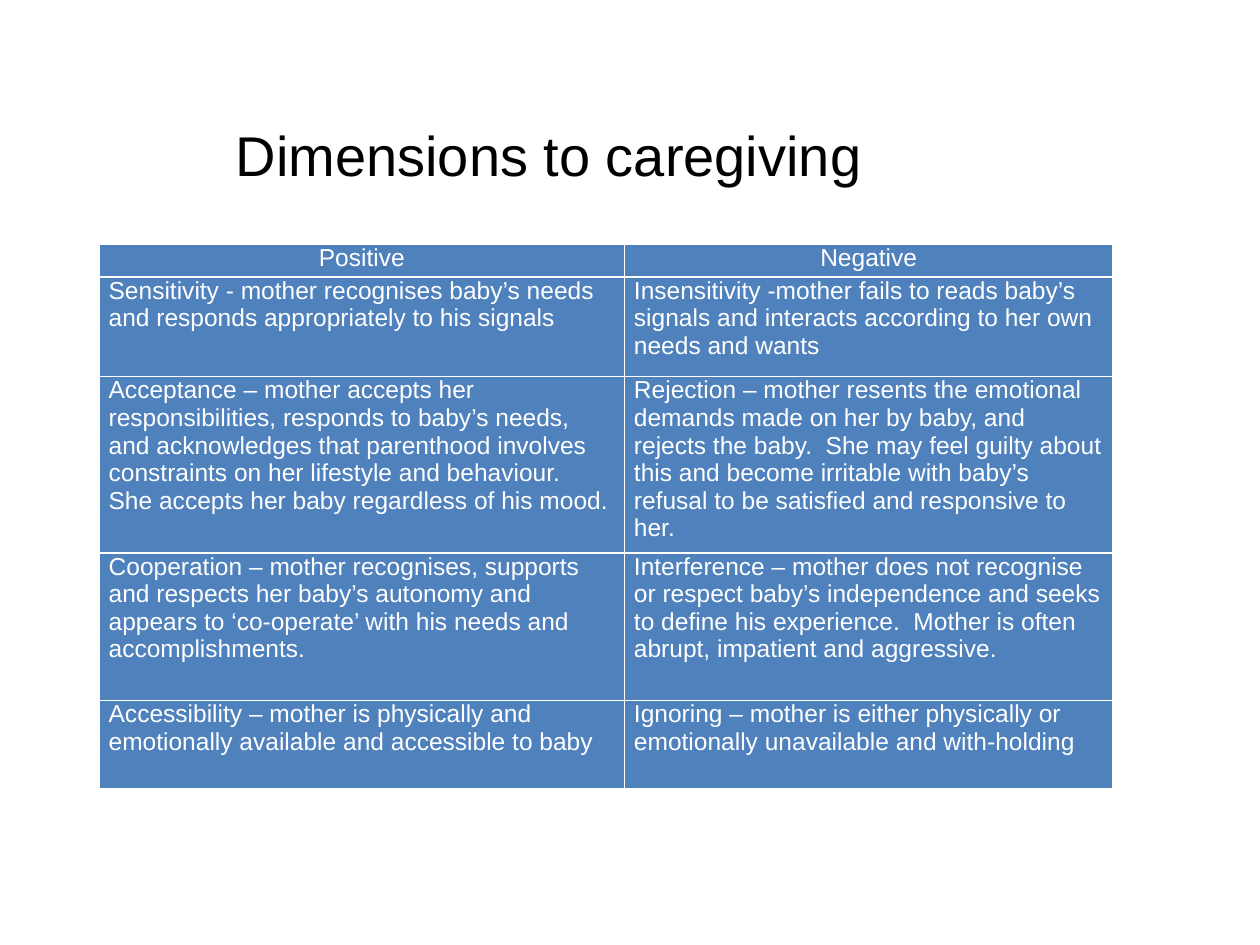
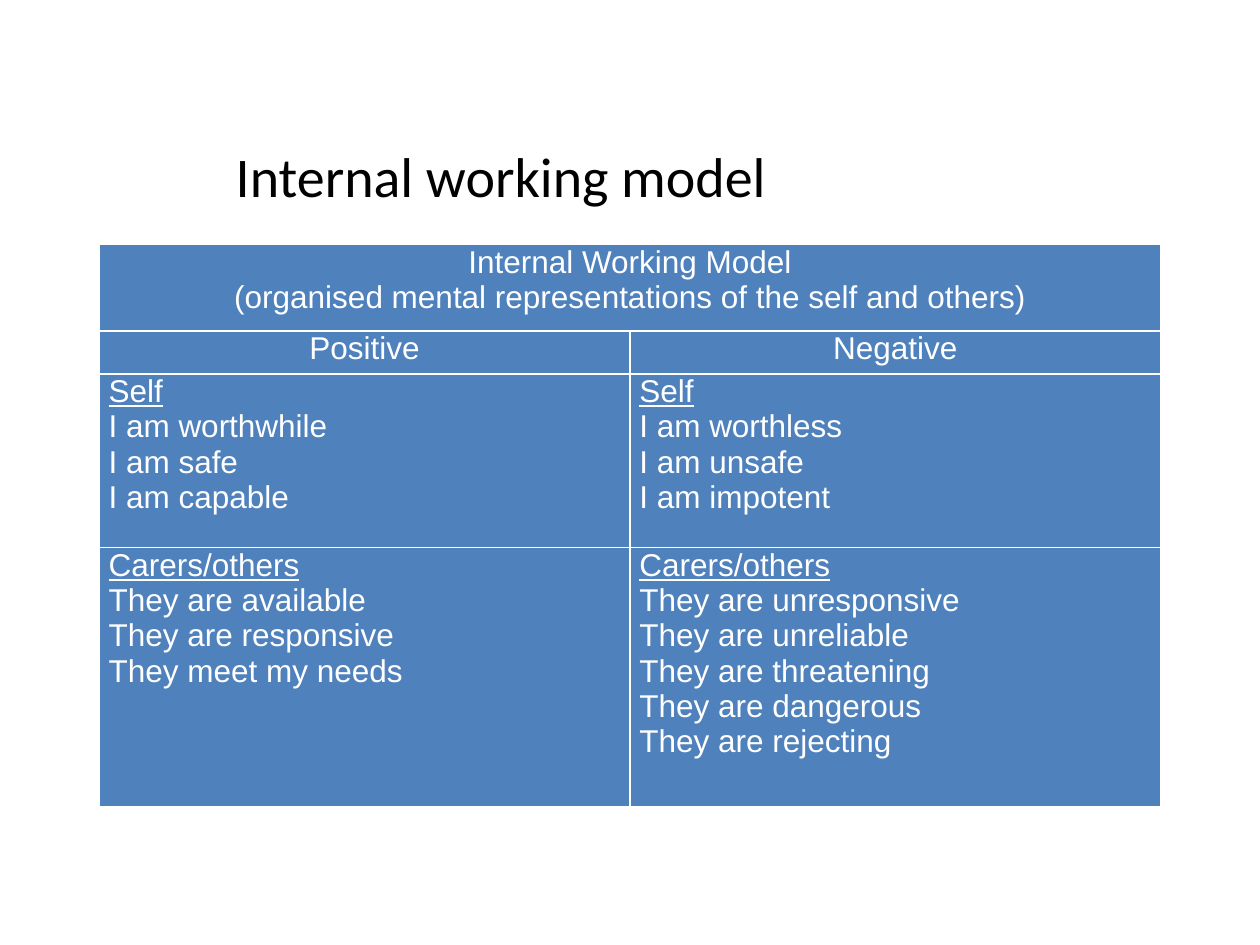
import pptx
import pptx.dml.color
import pptx.enum.text
import pptx.oxml
import pptx.oxml.ns
import pptx.util

Pt = pptx.util.Pt
ALIGN = pptx.enum.text.PP_ALIGN
ANCHOR = pptx.enum.text.MSO_ANCHOR

BLACK, WHITE, BLUE = "000000", "FFFFFF", "4F81BD"


def rgb(value):
    return pptx.dml.color.RGBColor.from_string(value)


def write(tf, lines, font="Arial", size=14, color=BLACK, align=ALIGN.LEFT,
          underline_first=False):
    """Put each line in its own paragraph."""
    for i, line in enumerate(lines):
        p = tf.paragraphs[0] if i == 0 else tf.add_paragraph()
        p.alignment = align
        p.space_before = Pt(0)
        r = p.add_run()
        r.text = line
        r.font.name = font
        r.font.size = Pt(size)
        r.font.bold = False
        r.font.color.rgb = rgb(color)
        if underline_first and i == 0:
            r.font.underline = True


class Deck:
    left, table_top = 56.7, 139.7
    cell_margin = 5.4
    border_width = 1

    def __init__(self):
        self.prs = pptx.Presentation()
        self.prs.slide_width, self.prs.slide_height = Pt(720), Pt(540)
        self.s = None

    def slide(self, title, top, font):
        self.s = self.prs.slides.add_slide(self.prs.slide_layouts[5])
        sp = self.s.shapes.title
        sp.left, sp.top, sp.width, sp.height = Pt(127.5), Pt(top), Pt(408), Pt(46)
        tf = sp.text_frame
        tf.word_wrap = True
        tf.auto_size = pptx.enum.text.MSO_AUTO_SIZE.NONE
        tf.vertical_anchor = ANCHOR.TOP
        write(tf, [title], font=font, size=32)

    def border(self, cell):
        tc_pr = cell._tc.get_or_add_tcPr()
        for side in "LRTB":
            tc_pr.append(pptx.oxml.parse_xml(
                f'<a:ln{side} {pptx.oxml.ns.nsdecls("a")} w="{Pt(self.border_width)}">'
                f'<a:solidFill><a:srgbClr val="{WHITE}"/></a:solidFill></a:ln{side}>'))

    def table(self, rows, widths, heights, size, header_rows, headings=False):
        """Each cell is a text whose lines become paragraphs; a short row is merged."""
        table = self.s.shapes.add_table(
            len(heights), len(widths), Pt(self.left), Pt(self.table_top),
            Pt(sum(widths)), Pt(sum(heights))).table
        table.first_row = table.horz_banding = False
        for column, width in zip(table.columns, widths):
            column.width = Pt(width)
        for y, (texts, height) in enumerate(zip(rows, heights)):
            table.rows[y].height = Pt(height)
            is_header = y < header_rows
            for x in range(len(widths)):
                cell = table.cell(y, x)
                cell.margin_left = cell.margin_right = Pt(self.cell_margin)
                cell.margin_top = cell.margin_bottom = 0
                self.border(cell)
                cell.fill.solid()
                cell.fill.fore_color.rgb = rgb(BLUE)
                if x < len(texts):
                    write(cell.text_frame, texts[x].split("\n"), size=size, color=WHITE,
                          align=ALIGN.CENTER if is_header else ALIGN.LEFT,
                          underline_first=headings and not is_header)
            if len(texts) < len(widths):
                table.cell(y, len(texts) - 1).merge(table.cell(y, len(widths) - 1))


HEADER = ("Positive", "Negative")

CAREGIVING = [
    HEADER,
    ("Sensitivity - mother recognises baby’s needs and responds appropriately to "
     "his signals",
     "Insensitivity -mother fails to reads baby’s signals and interacts according "
     "to her own needs and wants"),
    ("Acceptance – mother accepts her responsibilities, responds to baby’s needs, "
     "and acknowledges that parenthood involves constraints on her lifestyle and "
     "behaviour.  She accepts her baby regardless of his mood.",
     "Rejection – mother resents the emotional demands made on her by baby, and "
     "rejects the baby.  She may feel guilty about this and become irritable with "
     "baby’s refusal to be satisfied and responsive to her."),
    ("Cooperation – mother recognises, supports and respects her baby’s autonomy "
     "and appears to ‘co-operate’ with his needs and accomplishments.",
     "Interference – mother does not recognise or respect baby’s independence and "
     "seeks to define his experience.  Mother is often abrupt, impatient and "
     "aggressive."),
    ("Accessibility – mother is physically and emotionally available and "
     "accessible to baby",
     "Ignoring – mother is either physically or emotionally unavailable and "
     "with-holding"),
]

WORKING_MODEL = [
    ("Internal Working Model\n"
     "(organised mental representations of the self and others)",),
    HEADER,
    ("Self\nI am worthwhile\nI am safe\nI am capable",
     "Self\nI am worthless\nI am unsafe\nI am impotent"),
    ("Carers/others\nThey are available\nThey are responsive\nThey meet my needs",
     "Carers/others\nThey are unresponsive\nThey are unreliable\n"
     "They are threatening\nThey are dangerous\nThey are rejecting"),
]


def main():
    deck = Deck()

    # Dimensions to caregiving
    deck.slide("Dimensions to caregiving", top=65.5, font="Arial")
    deck.table(CAREGIVING, widths=[300.2, 279.1], heights=[18.7, 56.9, 100.8, 84.2, 50.4],
               size=14, header_rows=1)

    # Internal working model
    deck.slide("Internal working model", top=77, font="Calibri")
    deck.table(WORKING_MODEL, widths=[303.3] * 2, heights=[49.5, 24.6, 99.2, 148.3],
               size=18, header_rows=2, headings=True)

    deck.prs.save("out.pptx")


if __name__ == "__main__":
    main()
